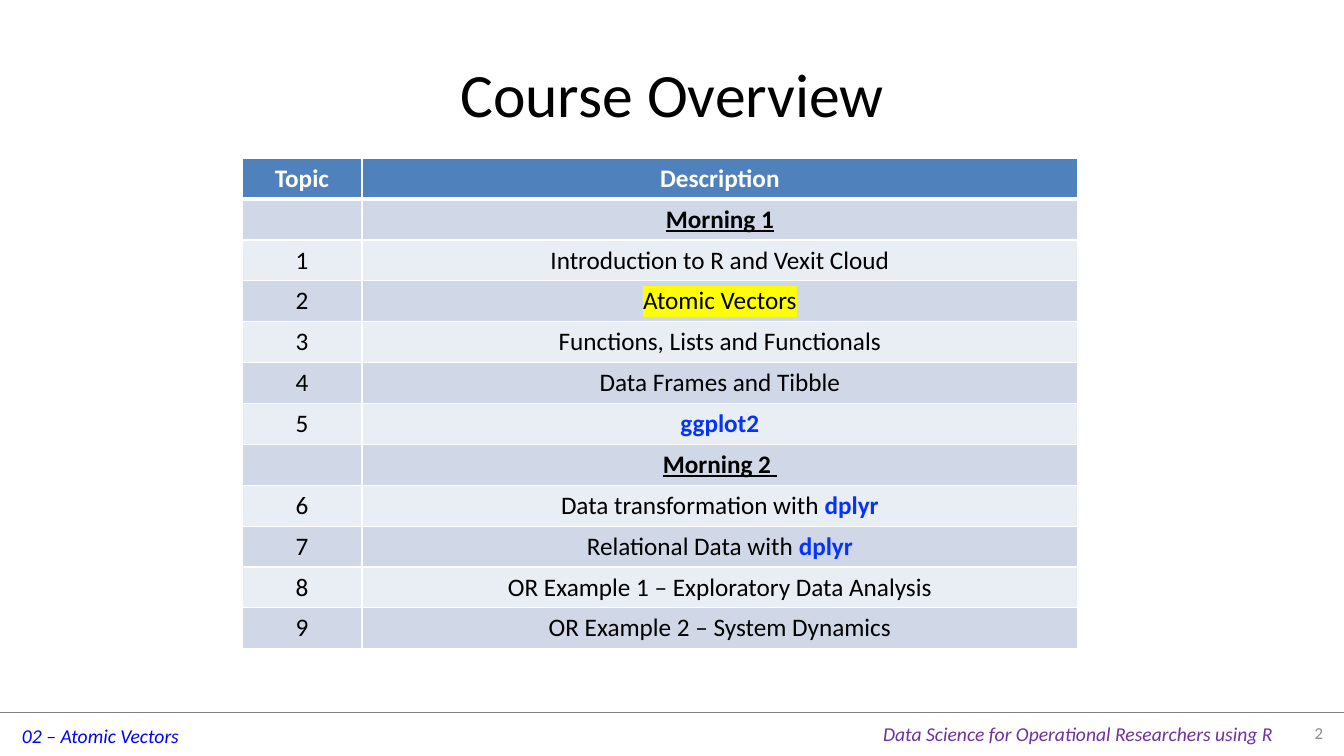
from lxml import etree
from pptx import Presentation
from pptx.dml.color import RGBColor
from pptx.enum.shapes import MSO_CONNECTOR
from pptx.enum.text import MSO_ANCHOR, PP_ALIGN
from pptx.oxml.ns import qn
from pptx.util import Inches, Pt

FONT = "Calibri"
COLORS = {
    "text": "000000", "white": "FFFFFF", "header": "4F81BD",
    "band_dark": "D0D8E8", "band_light": "E9EDF4",
    "package": "0432FF", "highlight": "FFFF00", "rule": "808080",
    "lecture": "0000FF", "course": "7030A0", "number": "8C8C8C",
}

# Run styles used in the table
STYLES = {
    "header": {"color": "white", "bold": True},
    "session": {"bold": True, "underline": True},
    "package": {"color": "package", "bold": True},
    "current": {"highlight": "highlight"},
    "plain": {},
}

# Each row: topic, then the description as (text, style) runs
HEADER = ("Topic", [("Description", "header")])
TOPICS = [
    ("", [("Morning 1", "session")]),
    ("1", [("Introduction to R and Vexit Cloud", "plain")]),
    ("2", [("Atomic Vectors", "current")]),
    ("3", [("Functions, Lists and Functionals", "plain")]),
    ("4", [("Data Frames and Tibble", "plain")]),
    ("5", [("ggplot2", "package")]),
    ("", [("Morning 2 ", "session")]),
    ("6", [("Data transformation with ", "plain"), ("dplyr", "package")]),
    ("7", [("Relational Data with ", "plain"), ("dplyr", "package")]),
    ("8", [("OR Example 1 – Exploratory Data Analysis", "plain")]),
    ("9", [("OR Example 2 – System Dynamics", "plain")]),
]
TABLE_LEFT, TABLE_TOP, TABLE_HEIGHT = 2.4, 1.57, 4.87
COLUMN_WIDTHS = [1.19, 7.1]
RULE_TOP = 7.07

# Text, (left, top, width, height), size, color, italic, wrap, anchor, alignment
TEXTS = [
    ("02 – Atomic Vectors", (0.12, 7.13, 1.77, 0.34), 14, "lecture",
     True, False, MSO_ANCHOR.TOP, PP_ALIGN.LEFT),
    ("Data Science for Operational Researchers using R", (8.66, 7.11, 4.11, 0.34), 14,
     "course", True, False, MSO_ANCHOR.TOP, PP_ALIGN.LEFT),
    ("Course Overview", (0.67, 0.3, 12, 1.25), 44, "text",
     False, True, MSO_ANCHOR.MIDDLE, PP_ALIGN.CENTER),
    ("2", (12.67, 7.07, 0.55, 0.39), 12, "number",
     False, True, MSO_ANCHOR.MIDDLE, PP_ALIGN.RIGHT),
]


def rgb(name):
    return RGBColor.from_string(COLORS[name])


def add_color(parent, name):
    etree.SubElement(parent, qn("a:srgbClr"), val=COLORS[name])


def add_span(para, text, size, color="text", bold=False, italic=False,
             underline=False, highlight=None):
    span = para.add_run()
    span.text = text
    font = span.font
    font.size, font.bold, font.italic, font.underline = Pt(size), bold, italic, underline
    font.color.rgb = rgb(color)
    font.name = FONT
    if highlight:
        mark = etree.Element(qn("a:highlight"))
        add_color(mark, highlight)
        span._r.get_or_add_rPr().find(qn("a:latin")).addprevious(mark)


def set_borders(cell, bottom_width):
    properties = cell._tc.get_or_add_tcPr()
    widths = {"a:lnL": 1, "a:lnR": 1, "a:lnT": 1, "a:lnB": bottom_width}
    for position, (side, width) in enumerate(widths.items()):
        line = etree.Element(qn(side), w=str(Pt(width)))
        add_color(etree.SubElement(line, qn("a:solidFill")), "white")
        properties.insert(position, line)


def add_text(page, text, place, size, color, italic, wrap, anchor, alignment):
    box = page.shapes.add_textbox(*map(Inches, place))
    frame = box.text_frame
    frame.word_wrap = wrap
    frame.vertical_anchor = anchor
    para = frame.paragraphs[0]
    para.alignment = alignment
    add_span(para, text, size, color, italic=italic)


def add_topic_table(page):
    rows = [HEADER] + TOPICS
    table = page.shapes.add_table(
        len(rows), len(COLUMN_WIDTHS), Inches(TABLE_LEFT), Inches(TABLE_TOP),
        Inches(sum(COLUMN_WIDTHS)), Inches(TABLE_HEIGHT)).table
    for column, width in zip(table.columns, COLUMN_WIDTHS):
        column.width = Inches(width)
    for index, (topic, description) in enumerate(rows):
        table.rows[index].height = Inches(TABLE_HEIGHT / len(rows))
        is_header = index == 0
        band = "header" if is_header else "band_dark" if index % 2 else "band_light"
        topic_runs = [(topic, "header" if is_header else "plain")] if topic else []
        for cell, runs in zip(table.rows[index].cells, (topic_runs, description)):
            cell.fill.solid()
            cell.fill.fore_color.rgb = rgb(band)
            set_borders(cell, 3 if is_header else 1)
            para = cell.text_frame.paragraphs[0]
            para.alignment = PP_ALIGN.CENTER
            for text, style in runs:
                add_span(para, text, 18, **STYLES[style])


def main():
    deck = Presentation()
    deck.slide_width, deck.slide_height = Inches(13.33), Inches(7.5)
    page = deck.slides.add_slide(deck.slide_layouts[6])

    # Footer rule
    rule = page.shapes.add_connector(
        MSO_CONNECTOR.STRAIGHT, 0, Inches(RULE_TOP), deck.slide_width, Inches(RULE_TOP))
    rule.line.color.rgb = rgb("rule")
    rule.line.width = Pt(0.25)
    etree.SubElement(rule._element.spPr, qn("a:effectLst"))

    # Title, footer texts and page number
    for entry in TEXTS:
        add_text(page, *entry)

    # Course topics
    add_topic_table(page)
    deck.save("out.pptx")


if __name__ == "__main__":
    main()
